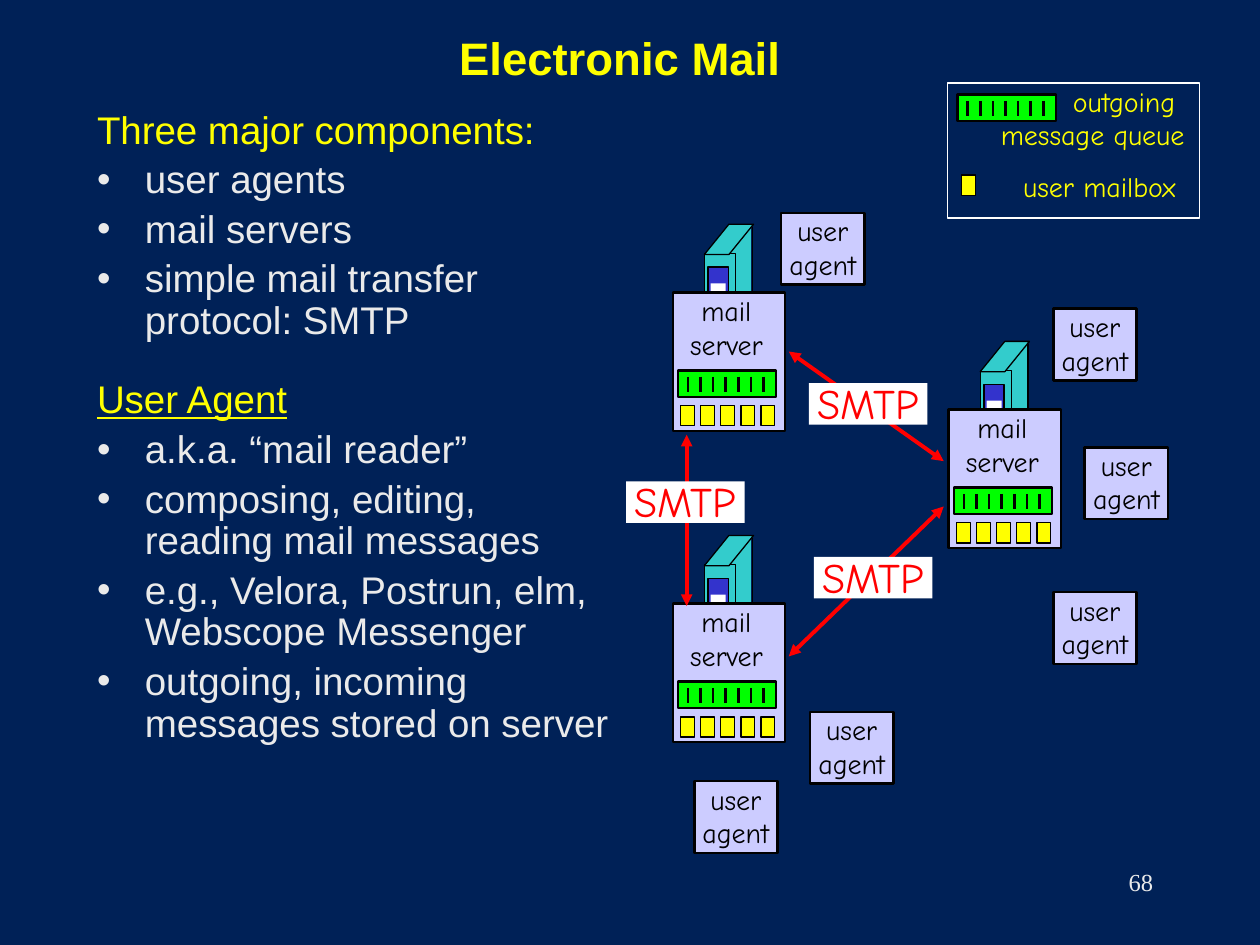
"""Builds the Electronic Mail slide: mail components beside a diagram of servers linked by SMTP."""
from lxml import etree
from pptx import Presentation
from pptx import util as u
from pptx.dml import color
from pptx.enum import shapes, text
from pptx.oxml import ns

NAVY, YELLOW, PALE, BLACK, WHITE = "002157", "FFFF00", "EAEAEA", "000000", "FFFFFF"
LILAC, TEAL, BLUE, GREEN, RED = "CCCCFF", "33CCCC", "3333CC", "00FF00", "FF0000"
LABEL = "Comic Neue"

TITLE = "Electronic Mail"
SECTIONS = [
    ("Three major components:", False,
     ["user agents", "mail servers", "simple mail transfer protocol: SMTP"]),
    ("User Agent", True,
     ["a.k.a. “mail reader”", "composing, editing, reading mail messages",
      "e.g., Velora, Postrun, elm, Webscope Messenger",
      "outgoing, incoming messages stored on server"]),
]
PAGE = "68"
SERVERS = [(7.53, 3.25), (5.34, 4.79), (5.34, 2.32)]
AGENTS = [(6.2, 1.69), (8.36, 2.45), (8.61, 3.55), (8.36, 4.7), (6.43, 5.65), (5.51, 6.2)]
LINKS = [(6.26, 2.79, 7.49, 3.66), (6.26, 5.21, 7.49, 4.02), (5.45, 4.81, 5.45, 3.45)]
LINK_LABELS = [(6.42, 3.04), (6.46, 4.42), (4.97, 3.82)]
TOWER = [
    ("RECTANGLE", (0.44, -0.53, 0.18, 0.78), TEAL, None),
    ("RECTANGLE", (0.25, -0.31, 0.25, 0.78), TEAL, 0.75),
    ("PARALLELOGRAM", (0.25, -0.54, 0.39, 0.24), TEAL, 0.75),
    ("RECTANGLE", (0.28, -0.2, 0.16, 0.45), BLUE, 0.75),
    ("RECTANGLE", (0.3, -0.07, 0.12, 0.16), WHITE, None),
]
ALIGN = text.PP_ALIGN
ANCHOR = text.MSO_ANCHOR


def rgb(code):
    return color.RGBColor.from_string(code)


def assign(obj, values):
    for name, value in values.items():
        setattr(obj, name, value)


def write(p, words, size, font, ink, **extra):
    r = p.add_run()
    r.text = words
    assign(r.font, {"size": u.Pt(size), "name": font, **extra})
    r.font.color.rgb = rgb(ink)


def fill_text(sp, lines, size, ink, font=LABEL, align=ALIGN.CENTER, **frame):
    tf = sp.text_frame
    assign(tf, {"word_wrap": False, **frame})
    for i, line in enumerate(lines):
        p = tf.add_paragraph() if i else tf.paragraphs[0]
        p.alignment = align
        write(p, line, size, font, ink)


def add_shape(s, at, fill=None, width=None, edge=BLACK, kind="RECTANGLE"):
    sp = s.shapes.add_shape(shapes.MSO_SHAPE[kind], *map(u.Inches, at))
    sp.shadow.inherit = False
    if fill:
        sp.fill.solid()
        sp.fill.fore_color.rgb = rgb(fill)
    else:
        sp.fill.background()
    if width:
        sp.line.width = u.Pt(width)
        sp.line.color.rgb = rgb(edge)
    else:
        sp.line.fill.background()
    return sp


def add_line(s, ends, width, ink=BLACK, arrows=False):
    c = s.shapes.add_connector(shapes.MSO_CONNECTOR.STRAIGHT, *map(u.Inches, ends))
    c.line.width = u.Pt(width)
    c.line.color.rgb = rgb(ink)
    if arrows:
        for end in ("a:headEnd", "a:tailEnd"):
            etree.SubElement(c.line._get_or_add_ln(), ns.qn(end), type="triangle")
    etree.SubElement(c._element.spPr, ns.qn("a:effectLst"))


def add_text(s, at, lines, size, ink, **options):
    fill_text(s.shapes.add_textbox(*map(u.Inches, at)), lines, size, ink, **options)


def add_queue(s, x, y):
    add_shape(s, (x, y, 0.78, 0.21), GREEN, 1.5)
    for i in range(7):
        tick = x + 0.08 + 0.1 * i
        add_line(s, (tick, y + 0.05, tick, y + 0.17), 1.5)


def add_mailbox(s, x, y):
    add_shape(s, (x, y, 0.11, 0.16), YELLOW, 0.75)


def add_server(s, x, y):
    for kind, (dx, dy, w, h), fill, width in TOWER:
        sp = add_shape(s, (x + dx, y + dy, w, h), fill, width, kind=kind)
        if kind == "PARALLELOGRAM":
            sp.adjustments[0] = 0.81
    add_line(s, (x + 0.63, y - 0.52, x + 0.63, y + 0.25), 0.75)
    sp = add_shape(s, (x, y, 0.89, 1.1), LILAC, 1.5)
    fill_text(sp, ["mail", "server"], 16, BLACK, vertical_anchor=ANCHOR.TOP,
              margin_left=0, margin_right=u.Inches(0.04), margin_top=u.Inches(0.01))
    add_queue(s, x + 0.04, y + 0.62)
    for i in range(5):
        add_mailbox(s, x + 0.06 + 0.16 * i, y + 0.9)


def add_label(s, at, lines, size, ink, fill, width=None):
    fill_text(add_shape(s, at, fill, width), lines, size, ink, vertical_anchor=ANCHOR.MIDDLE,
              margin_left=0, margin_right=0, margin_top=0, margin_bottom=u.Inches(0.02))


def place(sp, at):
    assign(sp, dict(zip(("left", "top", "width", "height"), map(u.Inches, at))))


def add_body(sp):
    place(sp, (0.67, 0.83, 4.3, 4.5))
    tf = sp.text_frame
    assign(tf, {"word_wrap": True, "auto_size": text.MSO_AUTO_SIZE.NONE,
                "vertical_anchor": ANCHOR.TOP})
    rows = []
    for heading, underline, items in SECTIONS:
        rows.append((heading, YELLOW, underline, False, 0))
        rows += [(item, PALE, False, True, 0) for item in items]
    last = len(SECTIONS[0][2])
    rows[last] = rows[last][:4] + (17,)
    for i, (words, ink, underline, bullet, after) in enumerate(rows):
        p = tf.add_paragraph() if i else tf.paragraphs[0]
        pPr = p._p.get_or_add_pPr()
        pPr.set("marL", str(u.Inches(0.38)))
        pPr.set("indent", str(u.Inches(-0.38)))
        if bullet:
            etree.SubElement(pPr, ns.qn("a:buFont"), typeface="Arial")
            etree.SubElement(pPr, ns.qn("a:buChar"), char="•")
        else:
            etree.SubElement(pPr, ns.qn("a:buNone"))
        assign(p, {"alignment": ALIGN.LEFT, "line_spacing": 0.9,
                   "space_before": u.Pt(4.6 if i else 0), "space_after": u.Pt(after)})
        write(p, words, 22, "Arial", ink, underline=underline)


def add_legend(s):
    add_shape(s, (7.52, 0.66, 2, 1.07), width=0.75, edge=WHITE)
    add_text(s, (7.97, 1.3, 1.51, 0.37), ["user mailbox"], 16, YELLOW)
    add_queue(s, 7.6, 0.75)
    add_mailbox(s, 7.63, 1.39)
    add_text(s, (7.78, 0.62, 1.72, 0.64), ["outgoing ", "message queue"], 16, YELLOW,
             align=ALIGN.RIGHT)


def main():
    prs = Presentation()
    assign(prs, {"slide_width": u.Inches(10), "slide_height": u.Inches(7.5)})
    s = prs.slides.add_slide(prs.slide_layouts[1])
    s.background.fill.solid()
    s.background.fill.fore_color.rgb = rgb(NAVY)

    title, body = s.placeholders
    place(title, (0.67, 0.08, 8.5, 0.75))
    assign(title.text_frame, {"vertical_anchor": ANCHOR.MIDDLE,
                              "auto_size": text.MSO_AUTO_SIZE.NONE})
    p = title.text_frame.paragraphs[0]
    p.alignment = ALIGN.CENTER
    write(p, TITLE, 26, "Arial", YELLOW, bold=True)
    add_body(body)
    add_text(s, (7.17, 6.83, 2.08, 0.5), [PAGE], 14, PALE, font="Times New Roman",
             align=ALIGN.RIGHT, word_wrap=True)

    add_legend(s)
    for x, y in SERVERS:
        add_server(s, x, y)
    for x, y in AGENTS:
        add_label(s, (x, y, 0.66, 0.57), ["user", "agent"], 16, BLACK, LILAC, 1.5)
    for ends in LINKS:
        add_line(s, ends, 2.25, RED, arrows=True)
    for x, y in LINK_LABELS:
        add_label(s, (x, y, 0.94, 0.33), ["SMTP"], 24, RED, WHITE)
    prs.save("out.pptx")


if __name__ == "__main__":
    main()
